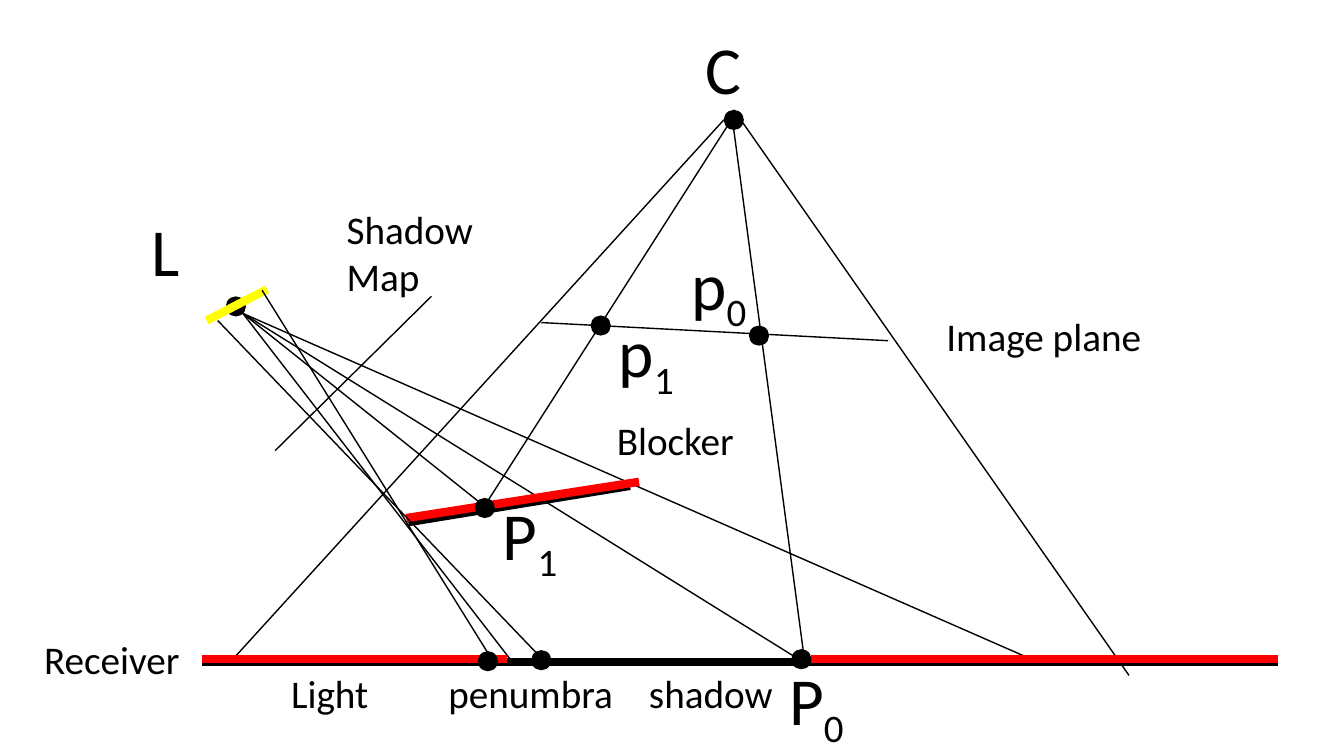
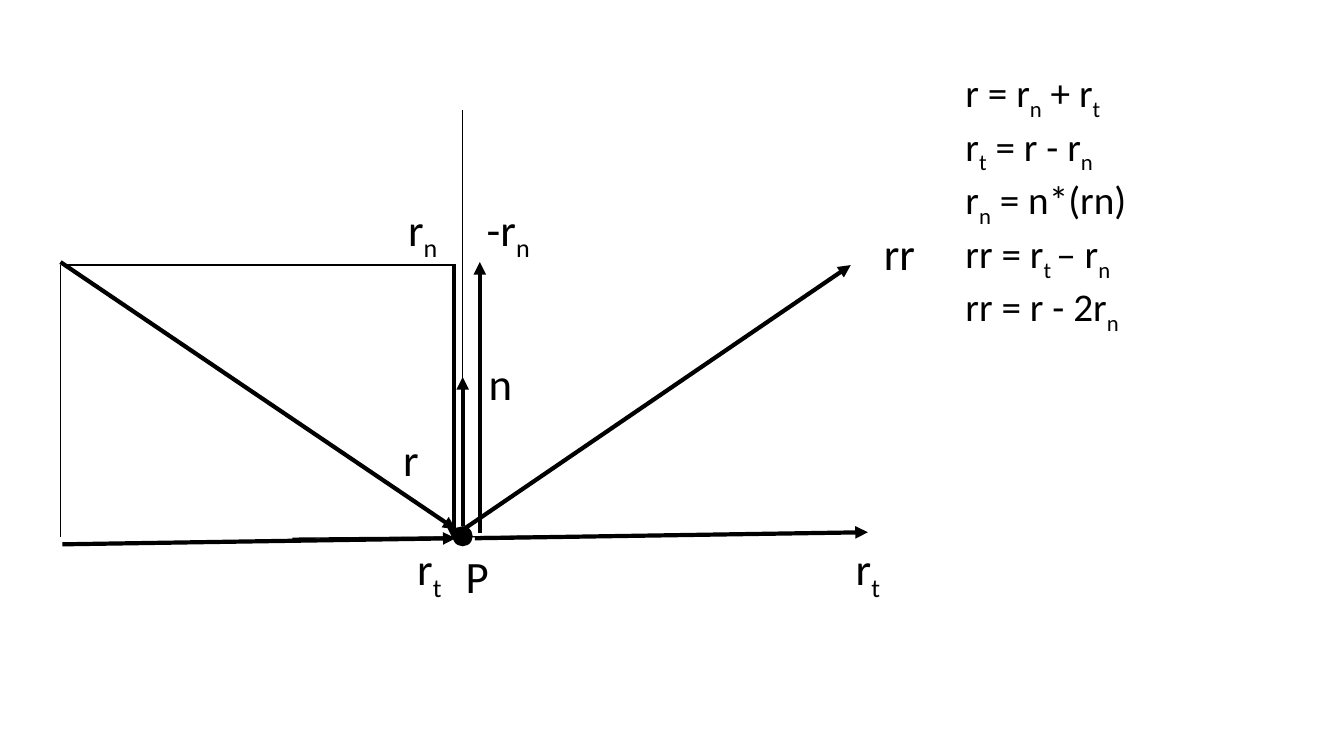
import pptx
import pptx.dml.color
import pptx.enum.shapes
import pptx.enum.text
import pptx.oxml.ns
import pptx.util
from lxml import etree

COLUMNS, ROWS = 133.33, 75
CELL = pptx.util.Inches(0.1)
DOT = 2
FONT = "Calibri"
COLORS = {"ink": "000000", "surface": "FF0000", "light": "FFFF00"}
THIN, ARROW, BAND = 1, 3, 6
SMALL, MEDIUM, LARGE = 28, 32, 48


def cells(count):
    return round(count * CELL)


def color(name):
    return pptx.dml.color.RGBColor.from_string(COLORS[name])


def add_page(deck):
    return deck.slides.add_slide(deck.slide_layouts[6])


def add_line(page, start, end, width=THIN, name="ink", arrow=False):
    line = page.shapes.add_connector(
        pptx.enum.shapes.MSO_CONNECTOR.STRAIGHT,
        *[cells(value) for value in (*start, *end)])
    line.line.color.rgb = color(name)
    line.line.width = pptx.util.Pt(width)
    properties = line._element.spPr
    if arrow:
        stroke = properties.find(pptx.oxml.ns.qn("a:ln"))
        etree.SubElement(stroke, pptx.oxml.ns.qn("a:tailEnd"), type="triangle")
    etree.SubElement(properties, pptx.oxml.ns.qn("a:effectLst"))


def add_dot(page, center):
    left, top = [cells(value - DOT / 2) for value in center]
    dot = page.shapes.add_shape(
        pptx.enum.shapes.MSO_SHAPE.OVAL, left, top, cells(DOT), cells(DOT))
    dot.shadow.inherit = False
    dot.fill.solid()
    dot.fill.fore_color.rgb = color("ink")
    dot.line.fill.background()


def add_label(page, place, size, *lines):
    box = page.shapes.add_textbox(*[cells(value) for value in place])
    frame = box.text_frame
    frame.word_wrap = False
    frame.auto_size = pptx.enum.text.MSO_AUTO_SIZE.SHAPE_TO_FIT_TEXT
    for number, line in enumerate(lines):
        para = frame.paragraphs[0] if number == 0 else frame.add_paragraph()
        for index, piece in enumerate(line.split("|")):
            span = para.add_run()
            span.text = piece
            span.font.name = FONT
            span.font.size = pptx.util.Pt(size)
            span.font.color.rgb = color("ink")
            if index % 2:
                span.font._element.set("baseline", "-25000")


def build_shadow_page(deck):
    page = add_page(deck)
    lamp = (24.1, 31.1)
    floor = 65.4

    add_line(page, (20, 65.7), (126.8, 65.7), BAND)
    add_line(page, (62.5, 48.2), (40.5, 51.8), BAND)
    add_dot(page, (23.4, 30.4))

    for end in ((51, 65.9), (103.7, 66), (79.4, 65.5)):
        add_line(page, lamp, end)
    for start, end in (
        ((72.8, 10.9), (112, 67)),
        ((71.8, 11.9), (23.1, floor)),
        ((72.8, 12.9), (79.8, floor)),
        ((53.7, 32), (88.1, 33.8)),
        ((42.8, 29.4), (27.3, 44.7)),
    ):
        add_line(page, start, end)

    add_line(page, (20, floor), (50.3, floor), BAND, "surface")
    add_line(page, (80.5, floor), (126.8, floor), BAND, "surface")
    add_line(page, (40.3, 51.4), (63.4, 47.8), BAND, "surface")
    add_line(page, (20.5, 31.8), (26.5, 28.7), BAND, "light")

    for start, end in (
        ((72.1, 12.6), (48.2, 50)),
        (lamp, (47.4, 49.7)),
        ((21.6, 31.8), (54.1, 65.7)),
        ((26, 28.8), (49.1, 65.9)),
    ):
        add_line(page, start, end)

    for center in ((72.8, 11.9), (75.3, 33.3), (79.5, floor), (59.6, 32.3),
                   (48.1, 50.4), (48.4, 65.6), (53.7, 65.5)):
        add_dot(page, center)

    for left, top, width, text in (
        (14, 20.3, 4.8, "L"),
        (69, 2.2, 5.6, "C"),
        (67.6, 23.6, 7.8, "p|0"),
        (77.3, 64.8, 7.8, "P|0"),
        (60.4, 30.3, 7.8, "p|1"),
        (48.9, 48.4, 7.8, "P|1"),
    ):
        add_label(page, (left, top, width, 9.1), LARGE, text)

    for left, top, width, text in (
        (3.4, 62.5, 15.6, "Receiver"),
        (60.2, 40.8, 13.8, "Blocker"),
        (92.9, 30.5, 21.5, "Image plane"),
        (27.9, 65.9, 9.7, "Light"),
        (43.5, 65.9, 18.4, "penumbra"),
        (63.4, 65.9, 14.3, "shadow"),
    ):
        add_label(page, (left, top, width, 5.7), SMALL, text)
    add_label(page, (33.4, 19.9, 15.6, 10.4), SMALL, "Shadow", "Map")


def build_reflection_page(deck):
    page = add_page(deck)
    axis = 45.9

    for start, end in (
        ((29, 53.4), (65.1, 53.1)),
        ((6, 26.3), (6, 53.3)),
        ((45.2, 26.3), (6.4, 26.3)),
        ((axis, 10.9), (axis, 52.2)),
    ):
        add_line(page, start, end)
    add_dot(page, (axis, 53.2))

    for start, end in (
        ((6, 26), (45.2, 52.5)),
        ((axis, 52.2), (axis, 37.4)),
        ((6.2, 54), (45.2, 53.4)),
        ((47.6, 52.9), (47.6, 26)),
        ((47.1, 53.4), (86.1, 52.8)),
        ((45, 26.3), (45, 53.6)),
        ((46, 52.5), (84.4, 26.3)),
    ):
        add_line(page, start, end, ARROW, arrow=True)

    for left, top, width, text in (
        (45.2, 53.9, 4.3, "P"),
        (47.5, 34.8, 4.4, "n"),
        (39.5, 19.5, 5.2, "r|n"),
        (47.3, 19.5, 6.5, "-r|n"),
        (40.4, 53.2, 4.6, "r|t"),
        (83.9, 53.2, 4.6, "r|t"),
        (39, 42.3, 3.6, "r"),
        (86.7, 21.9, 5.1, "rr"),
    ):
        add_label(page, (left, top, width, 6.4), MEDIUM, text)

    add_label(page, (94.8, 6.3, 18.4, 24.6), SMALL,
              "r = r|n| + r|t",
              "r|t| = r - r|n",
              "r|n| = n*(rn)",
              "rr = r|t |– r|n",
              "rr = r - 2r|n")


def main():
    deck = pptx.Presentation()
    deck.slide_width = cells(COLUMNS)
    deck.slide_height = cells(ROWS)
    build_shadow_page(deck)
    build_reflection_page(deck)
    deck.save("out.pptx")


if __name__ == "__main__":
    main()
